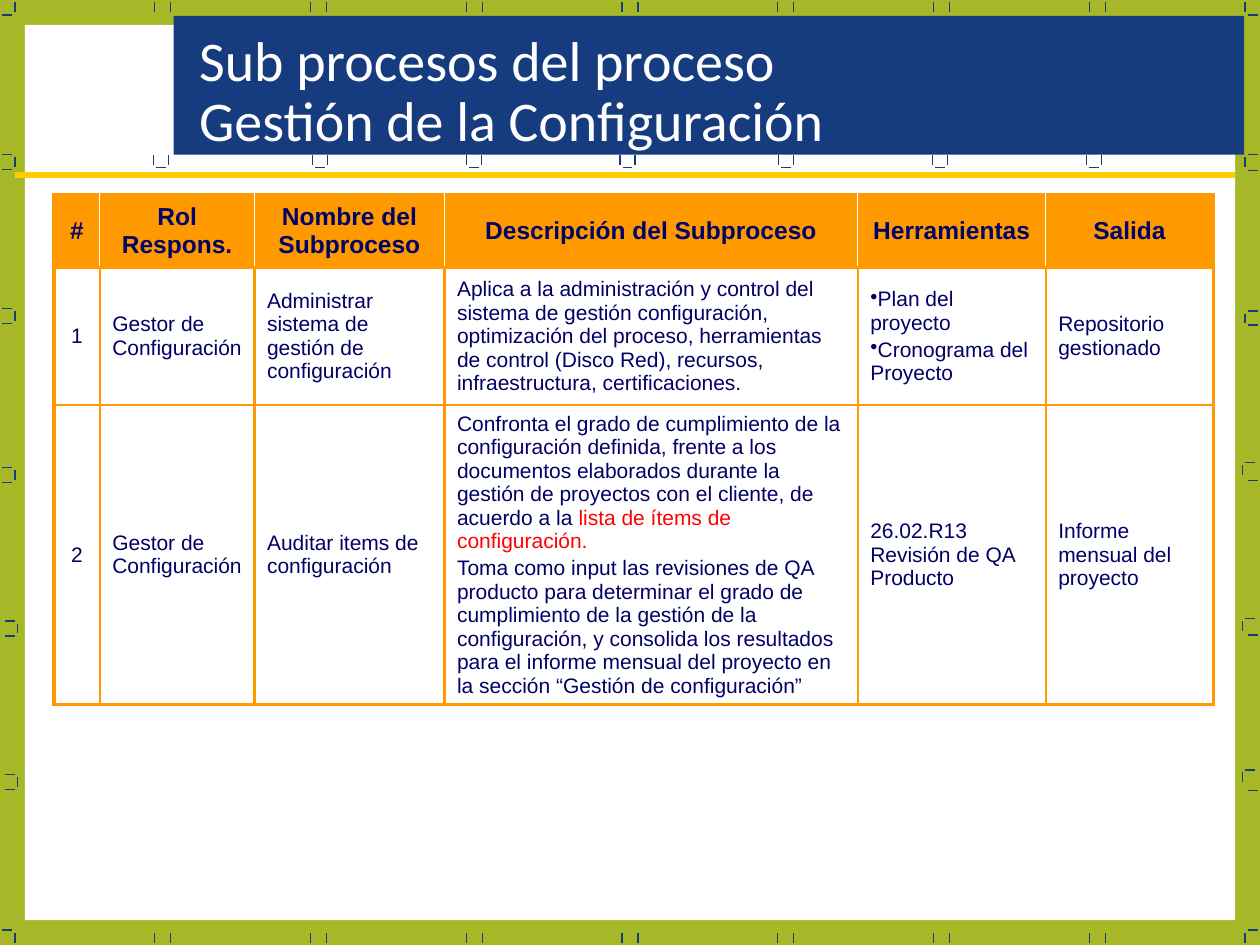
from lxml import etree
from pptx import Presentation
from pptx import util as u
from pptx.dml.color import RGBColor
from pptx.enum import shapes, text
from pptx.oxml import ns

GREEN = RGBColor(0xA6, 0xB7, 0x27)
BLUE = RGBColor(0x16, 0x3B, 0x7F)
NAVY = RGBColor(0x00, 0x00, 0x66)
ORANGE = RGBColor(0xFF, 0x99, 0x00)
YELLOW = RGBColor(0xFF, 0xCC, 0x00)
RED = RGBColor(0xFF, 0x00, 0x00)
WHITE = RGBColor(0xFF, 0xFF, 0xFF)

presentation = Presentation()
presentation.slide_width, presentation.slide_height = u.Cm(25.4), u.Cm(19.05)
slide = presentation.slides.add_slide(presentation.slide_layouts[5])
slide.background.fill.solid()
slide.background.fill.fore_color.rgb = GREEN


def add_line(left, top, across, down, color, width):
    connector = slide.shapes.add_connector(
        shapes.MSO_CONNECTOR.STRAIGHT,
        u.Cm(left), u.Cm(top), u.Cm(left + across), u.Cm(top + down))
    connector.line.color.rgb = color
    connector.line.width = u.Pt(width)
    etree.SubElement(connector.element.spPr, ns.qn("a:effectLst"))


def add_border(cell, side, color, width):
    line = etree.SubElement(cell._tc.get_or_add_tcPr(), ns.qn("a:ln" + side), w=str(u.Pt(width)))
    fill = etree.SubElement(line, ns.qn("a:solidFill"))
    etree.SubElement(fill, ns.qn("a:srgbClr"), val=str(color))


panels = [(0.5, 0.5, 24.4, 18.05, WHITE), (3.5, 0.32, 21.58, 2.8, BLUE)]
for left, top, width, height, color in panels:
    panel = slide.shapes.add_shape(
        shapes.MSO_SHAPE.RECTANGLE, u.Cm(left), u.Cm(top), u.Cm(width), u.Cm(height))
    panel.shadow.inherit = False
    panel.fill.solid()
    panel.fill.fore_color.rgb = color
    panel.line.fill.background()

TICK = 0.2
upright, flat = [], []
for top, corner in [(0.05, 0.3), (18.8, 18.75)]:
    upright += [(3.12 + 3.14 * step + shift, top) for step in range(7) for shift in (0, 0.32)]
    upright += [(0.3, top), (25.1, top)]
    flat += [(0.05, corner), (25.15, corner)]
for left in (3.1, 6.3, 9.4, 12.5, 15.7, 18.8, 21.9):
    upright += [(left, 3.12), (left + 0.3, 3.12)]
    flat.append((left + 0.05, 3.38))
for left, top in [(0.05, 3.12), (0.05, 6.22), (0.05, 9.42), (0.1, 12.52), (0.1, 15.62)]:
    upright.append((left + 0.25, top + 0.05))
    flat += [(left, top), (left, top + 0.3)]
for left, top in [(25.1, 3.12), (25.1, 6.27), (25.05, 9.32), (25.05, 12.47), (25.05, 15.52)]:
    upright.append((left, top + 0.05))
    flat.append((left + 0.05, top))
flat += [(25.15, top) for top in (3.43, 6.55, 9.68, 12.8, 15.93)]
for left, top in upright:
    add_line(left, top, 0, TICK, BLUE, 0.75)
for left, top in flat:
    add_line(left, top, TICK, 0, BLUE, 0.75)

rows = [
    ["#", "Rol Respons.", "Nombre del Subproceso", "Descripción del Subproceso",
     "Herramientas", "Salida"],
    ["1", "Gestor de Configuración", "Administrar sistema de gestión de configuración",
     "Aplica a la administración y control del sistema de gestión configuración, "
     "optimización del proceso, herramientas de control (Disco Red), recursos, "
     "infraestructura, certificaciones.",
     "•Plan del proyecto\n•Cronograma del Proyecto", "Repositorio gestionado"],
    ["2", "Gestor de Configuración", "Auditar items de configuración",
     "Confronta el grado de cumplimiento de la configuración definida, frente a los "
     "documentos elaborados durante la gestión de proyectos con el cliente, de acuerdo a la "
     "|lista de ítems de configuración.\n"
     "Toma como input las revisiones de QA producto para determinar el grado de cumplimiento "
     "de la gestión de la configuración, y consolida los resultados para el informe mensual "
     "del proyecto en la sección “Gestión de configuración”",
     "26.02.R13 Revisión de QA Producto", "Informe mensual del proyecto"],
]
column_widths = [0.92, 3.12, 3.83, 8.33, 3.79, 3.38]
row_heights = [1.46, 2.78, 6.03]
table = slide.shapes.add_table(
    3, 6, u.Cm(1.09), u.Cm(3.93), u.Cm(sum(column_widths)), u.Cm(sum(row_heights))).table
table.horz_banding = False
for column, width in zip(table.columns, column_widths):
    column.width = u.Cm(width)
for row, height in zip(table.rows, row_heights):
    row.height = u.Cm(height)

for i, row in enumerate(rows):
    header = i == 0
    font_format = {"name": "Arial", "size": u.Pt(14 if header else 12), "bold": header}
    inner = (WHITE, 1) if header else (ORANGE, 1.5)
    for j, content in enumerate(row):
        cell = table.cell(i, j)
        cell.vertical_anchor = text.MSO_ANCHOR.MIDDLE
        outer = (ORANGE, 2.25)
        add_border(cell, "L", *(outer if j == 0 else inner))
        add_border(cell, "R", *(outer if j == 5 else inner))
        add_border(cell, "T", *(outer if header else (ORANGE, 1.5)))
        add_border(cell, "B", *(outer if i == 2 else (ORANGE, 1.5)))
        cell.fill.solid()
        cell.fill.fore_color.rgb = ORANGE if header else WHITE
        for k, line in enumerate(content.split("\n")):
            frame = cell.text_frame
            paragraph = frame.add_paragraph() if k else frame.paragraphs[0]
            centred = header or j == 0
            paragraph.alignment = text.PP_ALIGN.CENTER if centred else text.PP_ALIGN.LEFT
            paragraph.space_before = u.Pt(2)
            if line.startswith("•"):
                properties = paragraph._p.get_or_add_pPr()
                properties.set("marL", "0")
                properties.set("indent", "0")
                etree.SubElement(properties, ns.qn("a:buChar"), char="•")
            for piece, color in zip(line.lstrip("•").split("|"), (NAVY, RED)):
                run = paragraph.add_run()
                run.text = piece
                run.font.color.rgb = color
                for name, value in font_format.items():
                    setattr(run.font, name, value)

title = slide.shapes.title
title.element.getparent().append(title.element)
title_place = {"left": 3.76, "top": 0.53, "width": 21.13, "height": 2.69}
for name, value in title_place.items():
    setattr(title, name, u.Cm(value))
title.text_frame.text = "Sub procesos del proceso\nGestión de la Configuración"
frame_format = {"word_wrap": True, "vertical_anchor": text.MSO_ANCHOR.TOP,
                "auto_size": text.MSO_AUTO_SIZE.SHAPE_TO_FIT_TEXT}
for name, value in frame_format.items():
    setattr(title.text_frame, name, value)
title_font = {"name": "Calibri", "size": u.Pt(32), "bold": False}
for paragraph in title.text_frame.paragraphs:
    paragraph.alignment = text.PP_ALIGN.LEFT
    paragraph.line_spacing = 0.9
    font = paragraph.runs[0].font
    font.color.rgb = WHITE
    for name, value in title_font.items():
        setattr(font, name, value)

add_line(0.3, 3.53, 24.6, 0, YELLOW, 3)

presentation.save("out.pptx")
